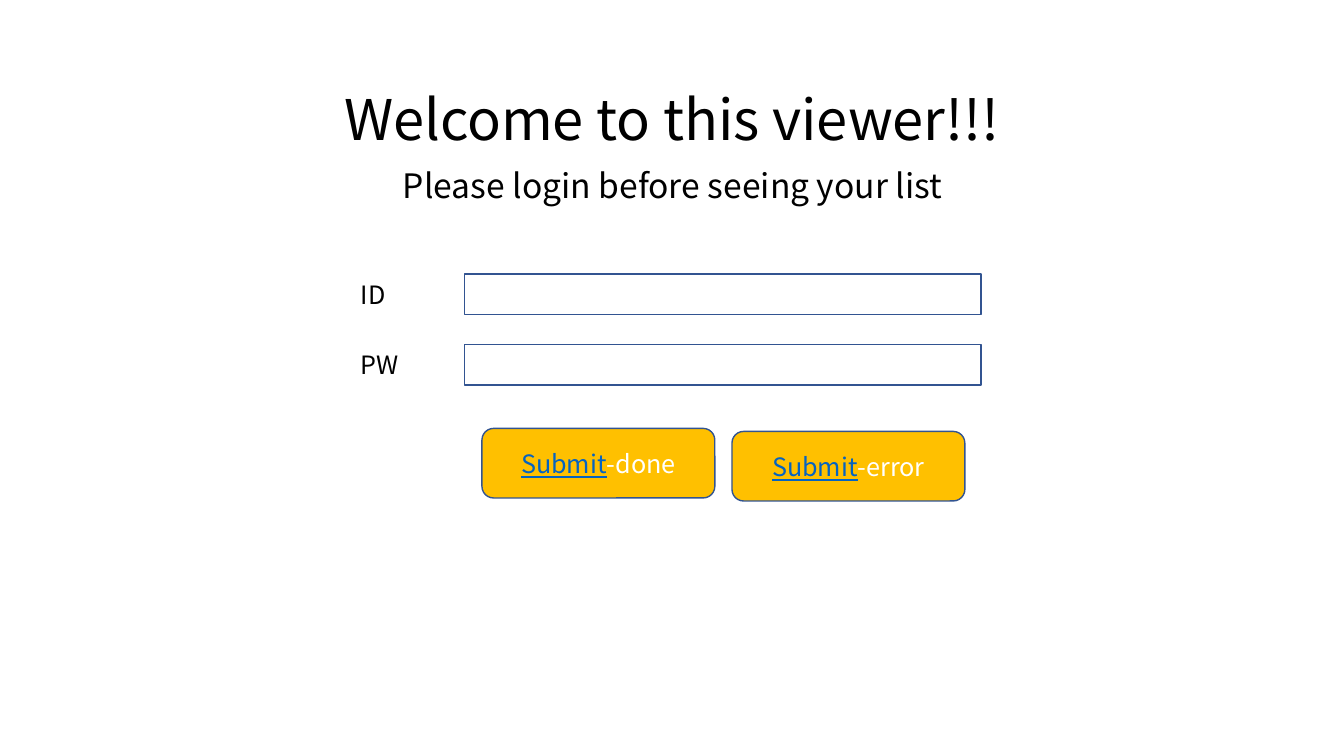
from pptx import Presentation
from pptx.dml.color import RGBColor
from pptx.enum.shapes import MSO_SHAPE as Shape
from pptx.enum.text import MSO_ANCHOR as Anchor, MSO_AUTO_SIZE as AutoSize, PP_ALIGN as Align
from pptx.util import Inches, Pt

FONT = "Noto Sans CJK KR"
COLORS = {"text": "000000", "border": "325491", "button": "FFC000",
          "link": "0563C1", "light": "FFFFFF"}


def color(name):
    """Return the named colour."""
    return RGBColor.from_string(COLORS[name])


def write(shape, runs, size, align=Align.LEFT, anchor=Anchor.TOP):
    """Write (text, colour, underline) runs into a shape and return the paragraph."""
    frame = shape.text_frame
    frame.word_wrap = True
    frame.auto_size = AutoSize.NONE
    frame.vertical_anchor = anchor
    paragraph = frame.paragraphs[0]
    paragraph.alignment = align
    for text, color_name, underline in runs:
        run = paragraph.add_run()
        run.text = text
        run.font.name = FONT
        run.font.size = Pt(size)
        run.font.color.rgb = color(color_name)
        run.font.underline = underline
    return paragraph


def place(shape, left, top, width, height):
    """Move and size a placeholder."""
    shape.left, shape.top = Inches(left), Inches(top)
    shape.width, shape.height = Inches(width), Inches(height)


def add_box(slide, kind, left, top, width, height, fill=None):
    """Add a bordered shape, hollow unless a fill is named."""
    shape = slide.shapes.add_shape(
        kind, Inches(left), Inches(top), Inches(width), Inches(height))
    shape.shadow.inherit = False
    shape.line.color.rgb = color("border")
    shape.line.width = Pt(1)
    if fill:
        shape.fill.solid()
        shape.fill.fore_color.rgb = color(fill)
    else:
        shape.fill.background()
    return shape


def add_heading(slide, left, top, width):
    """Fill the title and subtitle placeholders."""
    title, subtitle = slide.shapes.title, slide.placeholders[1]
    place(title, left, top, width, 0.77)
    paragraph = write(title, [("Welcome to this viewer!!!", "text", False)], 40, Align.CENTER)
    paragraph.line_spacing = 1.0
    place(subtitle, left + 0.14, top + 0.84, width - 0.27, 0.61)
    paragraph = write(subtitle, [("Please login before seeing your list", "text", False)],
                      24, Align.CENTER)
    paragraph.line_spacing = 0.9
    paragraph.space_before = Pt(10)


def add_fields(slide, left, top, width):
    """Add a label and an input box for each login field."""
    label_width, height, pitch = 1.13, 0.4, 0.7
    for index, name in enumerate(("ID", "PW")):
        row_top = top + index * pitch
        label = slide.shapes.add_textbox(
            Inches(left), Inches(row_top), Inches(label_width), Inches(height))
        write(label, [(name, "text", False)], 18)
        add_box(slide, Shape.RECTANGLE, left + label_width, row_top,
                width - label_width, height)


def add_buttons(slide, left, top):
    """Add the two submit buttons, each a little lower than the last."""
    width, height, pitch, drop = 2.31, 0.69, 2.48, 0.03
    for index, outcome in enumerate(("done", "error")):
        button = add_box(slide, Shape.ROUNDED_RECTANGLE, left + index * pitch,
                         top + index * drop, width, height, "button")
        write(button, [("Submit", "link", True), (f"-{outcome}", "light", False)],
              18, Align.CENTER, Anchor.MIDDLE)


def build_login_slide(presentation):
    """Build the login slide."""
    slide = presentation.slides.add_slide(presentation.slide_layouts[0])
    add_heading(slide, 1.53, 0.79, 10.27)
    add_fields(slide, 3.48, 2.72, 6.25)
    add_buttons(slide, 4.78, 4.25)


presentation = Presentation()
presentation.slide_width = Inches(13.33)
presentation.slide_height = Inches(7.5)
build_login_slide(presentation)
presentation.save("out.pptx")
